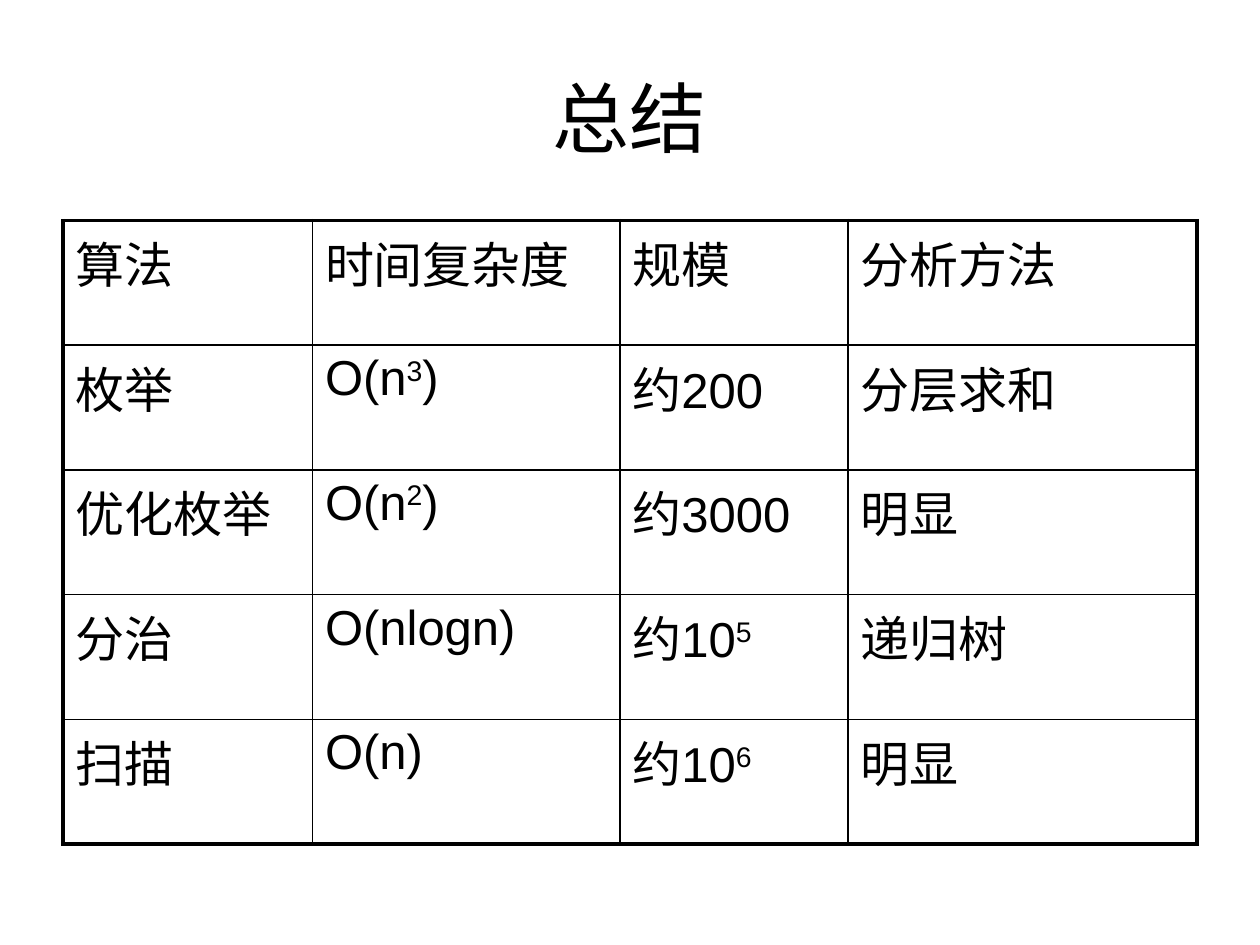
from dataclasses import dataclass

from lxml import etree
from pptx import Presentation
from pptx.dml.color import RGBColor
from pptx.enum import text
from pptx.oxml import ns
from pptx.util import Inches, Pt

BLACK = RGBColor(0, 0, 0)
THIN, THICK = Pt(1), Pt(2.25)
WIDTHS = (1.98, 2.44, 1.81, 2.77)
HIGH = 0.99


@dataclass
class Term:
    """Cell text with an optional raised part and a tail after it."""
    base: str
    power: str = ""
    tail: str = ""


ROWS = [
    [Term("算法"), Term("时间复杂度"), Term("规模"), Term("分析方法")],
    [Term("枚举"), Term("O(n", "3", ")"), Term("约200"), Term("分层求和")],
    [Term("优化枚举"), Term("O(n", "2", ")"), Term("约3000"), Term("明显")],
    [Term("分治"), Term("O(nlogn)"), Term("约10", "5"), Term("递归树")],
    [Term("扫描"), Term("O(n)"), Term("约10", "6"), Term("明显")],
]


def style(font, name: str, size: int) -> None:
    """Set the face, size and colour of a font."""
    for key, value in {"name": name, "size": Pt(size), "bold": False}.items():
        setattr(font, key, value)
    font.color.rgb = BLACK


def write(cell, term: Term) -> None:
    """Write a term into a cell, one run for each part."""
    para = cell.text_frame.paragraphs[0]
    space = etree.SubElement(para._p.get_or_add_pPr(), ns.qn("a:spcBef"))
    etree.SubElement(space, ns.qn("a:spcPct")).set("val", "20000")
    for part, raised in ((term.base, False), (term.power, True), (term.tail, False)):
        if part:
            run = para.add_run()
            run.text = part
            style(run.font, "Arial", 28)
            if raised:
                run._r.get_or_add_rPr().set("baseline", "30000")


def frame(cell, edges: dict) -> None:
    """Draw the cell borders, thick where the edge is an outer one."""
    props = cell._tc.get_or_add_tcPr()
    for side, outer in edges.items():
        line = etree.SubElement(props, ns.qn(f"a:ln{side}"))
        line.set("w", str(int(THICK if outer else THIN)))
        fill = etree.SubElement(line, ns.qn("a:solidFill"))
        etree.SubElement(fill, ns.qn("a:srgbClr")).set("val", str(BLACK))
    cell.fill.background()


def add_title(slide, words: str) -> None:
    """Place and format the title."""
    title = slide.shapes.title
    box = {"left": 0.5, "top": 0.3, "width": 9, "height": 1.25}
    for key, value in box.items():
        setattr(title, key, Inches(value))
    title.text_frame.text = words
    title.text_frame.vertical_anchor = text.MSO_ANCHOR.MIDDLE
    para = title.text_frame.paragraphs[0]
    para.alignment = text.PP_ALIGN.CENTER
    style(para.runs[0].font, "Calibri", 44)


def add_grid(slide) -> None:
    """Add the table of algorithms."""
    rows, cols = len(ROWS), len(WIDTHS)
    grid = slide.shapes.add_table(rows, cols, Inches(0.5), Inches(1.75),
                                  Inches(sum(WIDTHS)), Inches(HIGH * rows)).table
    grid.first_row = grid.horz_banding = False
    for col, width in zip(grid.columns, WIDTHS):
        col.width = Inches(width)
    for i, terms in enumerate(ROWS):
        grid.rows[i].height = Inches(HIGH)
        for j, term in enumerate(terms):
            cell = grid.cell(i, j)
            write(cell, term)
            frame(cell, {"L": j == 0, "R": j == cols - 1,
                         "T": i == 0, "B": i == rows - 1})


def main() -> None:
    """Build and save the slide."""
    deck = Presentation()
    deck.slide_width, deck.slide_height = Inches(10), Inches(7.5)
    slide = deck.slides.add_slide(deck.slide_layouts[5])
    add_title(slide, "总结")
    add_grid(slide)
    deck.save("out.pptx")


main()
